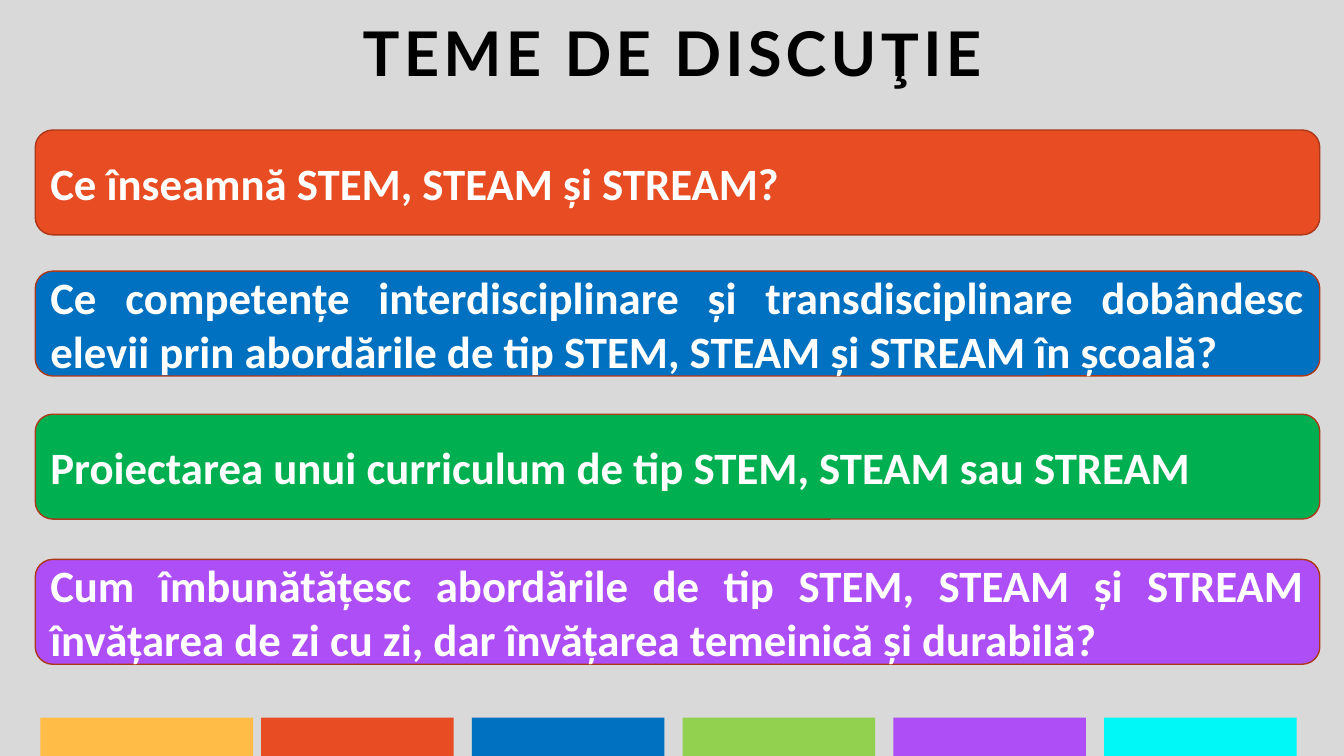
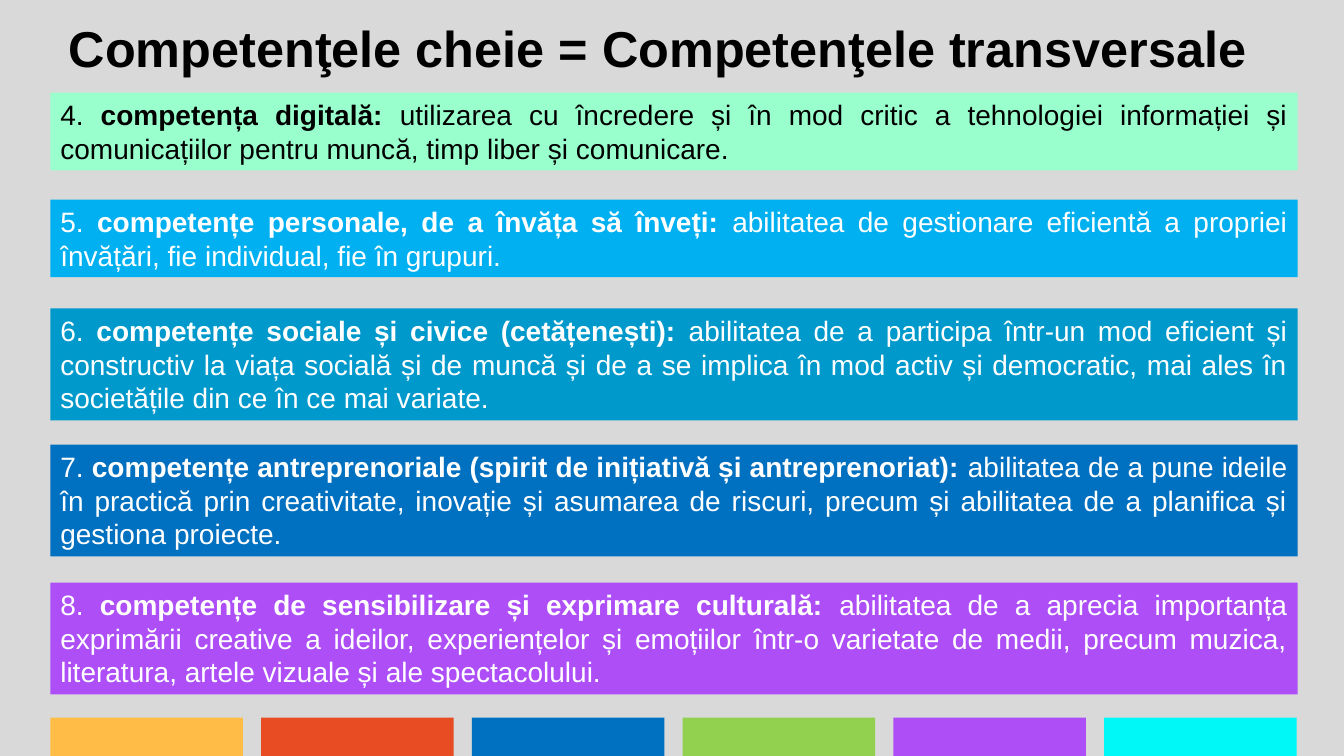
from typing import NamedTuple

from pptx import Presentation
from pptx import util as u
from pptx.dml.color import RGBColor
from pptx.enum import shapes, text

COLORS = {
    "page": "D9D9D9",
    "black": "000000",
    "white": "FFFFFF",
    "amber": "FFBD47",
    "orange": "E84C22",
    "rust": "AC3819",
    "blue": "0070C0",
    "lime": "92D050",
    "purple": "AD4EF7",
    "cyan": "00F9F7",
    "green": "00B050",
    "mint": "99FFCC",
    "sky": "00B0F0",
    "teal": "0099CC",
}
FOOTER_COLORS = ("amber", "orange", "blue", "lime", "purple", "cyan")
FOOTER_LEFT, FOOTER_WIDTH, FOOTER_STEP = 0.5, 1.91, 2.09


class Area(NamedTuple):
    left: float
    top: float
    width: float
    height: float


class Style(NamedTuple):
    font: str
    size: float
    color: str
    bold: bool = False
    spacing: float = 0


class Topic(NamedTuple):
    top: float
    fill: str
    wording: str
    align: text.PP_ALIGN = text.PP_ALIGN.LEFT


class Competence(NamedTuple):
    top: float
    height: float
    fill: str
    number: str
    name: str
    description: str
    ink: str = "white"


TOPICS = (
    Topic(1.29, "orange", "Ce înseamnă STEM, STEAM și STREAM?"),
    Topic(2.69, "blue",
          "Ce competențe interdisciplinare și transdisciplinare dobândesc elevii "
          "prin abordările de tip STEM, STEAM și STREAM în școală?",
          text.PP_ALIGN.JUSTIFY),
    Topic(4.11, "green", "Proiectarea unui curriculum de tip STEM, STEAM sau STREAM"),
    Topic(5.55, "purple",
          "Cum îmbunătățesc abordările de tip STEM, STEAM și STREAM învățarea "
          "de zi cu zi, dar învățarea temeinică și durabilă?",
          text.PP_ALIGN.JUSTIFY),
)

COMPETENCES = (
    Competence(0.92, 0.77, "mint", "4. ", "competența digitală:",
               " utilizarea cu încredere și în mod critic a tehnologiei informației "
               "și comunicațiilor pentru muncă, timp liber și comunicare.", "black"),
    Competence(1.98, 0.77, "sky", "5. ", "competențe personale, de a învăța să înveți:",
               " abilitatea de gestionare eficientă a propriei învățări, "
               "fie individual, fie în grupuri."),
    Competence(3.06, 1.11, "teal", "6. ", "competențe sociale și civice (cetățenești):",
               " abilitatea de a participa într-un mod eficient și constructiv la viața "
               "socială și de muncă și de a se implica în mod activ și democratic, "
               "mai ales în societățile din ce în ce mai variate."),
    Competence(4.41, 1.11, "blue", "7. ",
               "competențe antreprenoriale (spirit de inițiativă și antreprenoriat):",
               " abilitatea de a pune ideile în practică prin creativitate, inovație și "
               "asumarea de riscuri, precum și abilitatea de a planifica și gestiona "
               "proiecte."),
    Competence(5.78, 1.11, "purple", "8. ",
               "competențe de sensibilizare și exprimare culturală:",
               " abilitatea de a aprecia importanța exprimării creative a ideilor, "
               "experiențelor și emoțiilor într-o varietate de medii, precum muzica, "
               "literatura, artele vizuale și ale spectacolului."),
)


def rgb(name: str) -> RGBColor:
    return RGBColor.from_string(COLORS[name])


def add_page(deck):
    page = deck.slides.add_slide(deck.slide_layouts[6])
    page.background.fill.solid()
    page.background.fill.fore_color.rgb = rgb("page")
    return page


def add_block(page, area: Area, fill: str, line: str | None = None,
              kind=shapes.MSO_SHAPE.RECTANGLE):
    block = page.shapes.add_shape(kind, *map(u.Inches, area))
    block.shadow.inherit = False
    block.fill.solid()
    block.fill.fore_color.rgb = rgb(fill)
    if line:
        block.line.color.rgb = rgb(line)
        block.line.width = u.Pt(1)
    else:
        block.line.fill.background()
    return block


def write(box, pieces: list[tuple[str, Style]], align, anchor=text.MSO_ANCHOR.TOP):
    """Fill the first paragraph of a box with one run per piece."""
    frame = box.text_frame
    frame.word_wrap = True
    frame.vertical_anchor = anchor
    para = frame.paragraphs[0]
    para.alignment = align
    for wording, style in pieces:
        span = para.add_run()
        span.text = wording
        span.font.name = style.font
        span.font.size = u.Pt(style.size)
        span.font.bold = style.bold
        span.font.color.rgb = rgb(style.color)
        if style.spacing:
            span.font._element.set("spc", str(round(style.spacing * 100)))
    return para


def add_title(page, area: Area, pieces: list[tuple[str, Style]]):
    box = page.shapes.add_textbox(*map(u.Inches, area))
    return write(box, pieces, text.PP_ALIGN.CENTER)


def add_footer(page, first_left: float = FOOTER_LEFT) -> None:
    """Draw the colour strip; the first block widens evenly as it starts further left."""
    for index, color in enumerate(FOOTER_COLORS):
        extra = 0 if index else FOOTER_LEFT - first_left
        left = FOOTER_LEFT + index * FOOTER_STEP - extra
        add_block(page, Area(left, 7.12, FOOTER_WIDTH + 2 * extra, 0.38), color)


def add_topics_page(deck) -> None:
    page = add_page(deck)
    lato = Style("Lato", 44, "black", True, 3)
    title = add_title(page, Area(0, 0.18, 13.33, 0.77), [
        ("TEME DE DISCU", lato),
        ("Ţ", lato._replace(font="Arial")),
        ("IE", lato),
    ])
    title.line_spacing = 0.9
    add_footer(page, first_left=0.4)
    for topic in TOPICS:
        bar = add_block(page, Area(0.35, topic.top, 12.74, 1.04), topic.fill, "rust",
                        shapes.MSO_SHAPE.ROUNDED_RECTANGLE)
        write(bar, [(topic.wording, Style("Calibri", 32, "white", True))],
              topic.align, text.MSO_ANCHOR.MIDDLE)


def add_competences_page(deck) -> None:
    page = add_page(deck)
    add_title(page, Area(0.18, 0.12, 12.69, 0.71), [
        ("Competenţele cheie = Competenţele transversale",
         Style("Arial", 36, "black", True)),
    ])
    add_footer(page)
    for item in COMPETENCES:
        card = add_block(page, Area(0.5, item.top, 12.37, item.height), item.fill)
        plain = Style("Arial", 20, item.ink)
        write(card, [
            (item.number, plain),
            (item.name, plain._replace(bold=True)),
            (item.description, plain),
        ], text.PP_ALIGN.JUSTIFY)


def main() -> None:
    deck = Presentation()
    deck.slide_width = u.Inches(13.33)
    deck.slide_height = u.Inches(7.5)
    add_topics_page(deck)
    add_competences_page(deck)
    deck.save("out.pptx")


if __name__ == "__main__":
    main()
